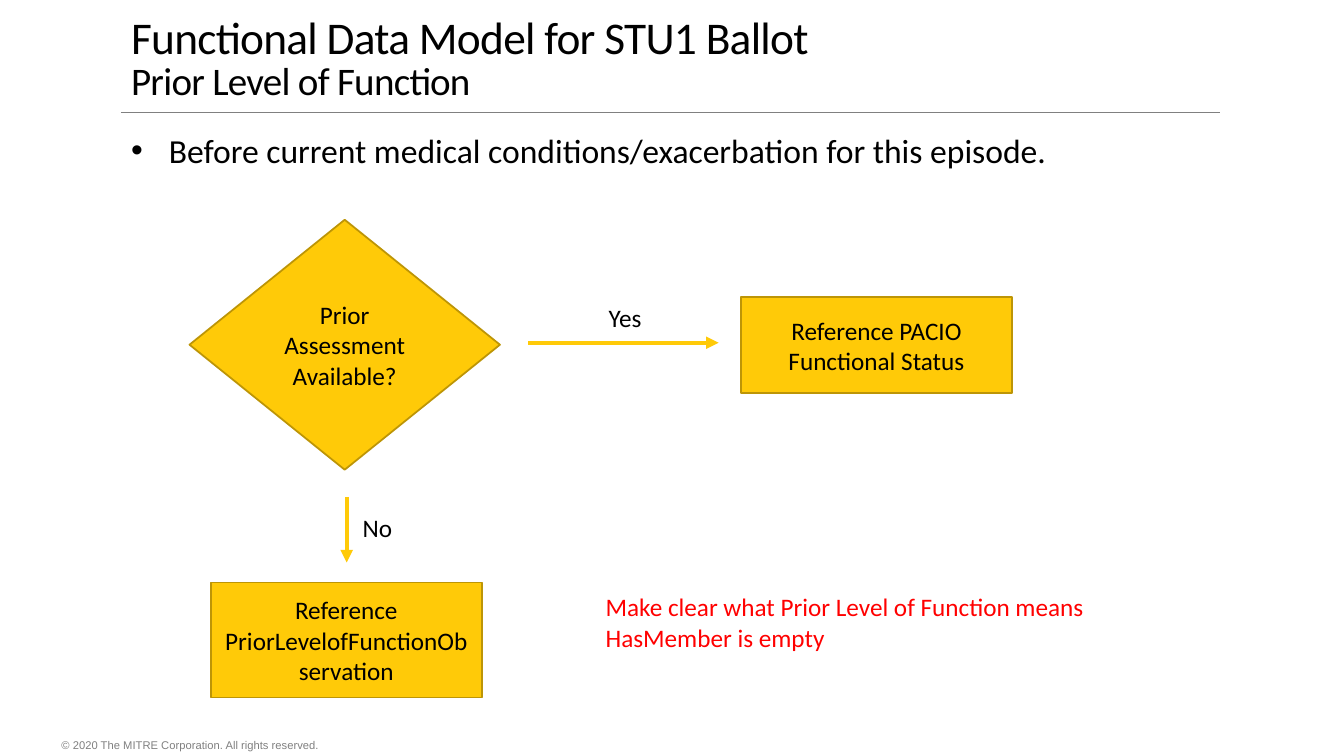
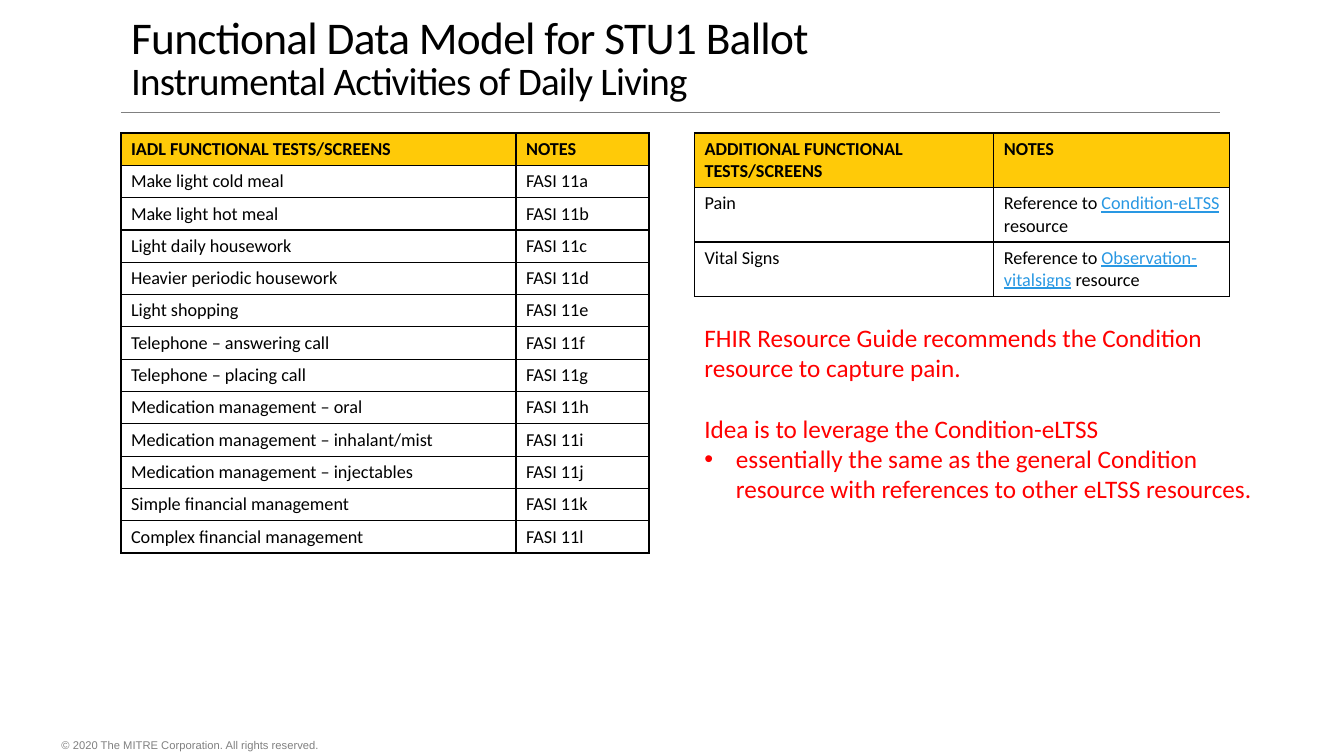
from dataclasses import dataclass
from typing import Optional, Sequence

from lxml.etree import SubElement
from pptx import Presentation
from pptx.dml.color import RGBColor as Color
from pptx.enum.shapes import MSO_CONNECTOR as Link, MSO_SHAPE as Preset
from pptx.enum.text import MSO_ANCHOR as Anchor, MSO_AUTO_SIZE as Fit, PP_ALIGN as Align
from pptx.oxml.ns import qn
from pptx.util import Inches, Pt

COLUMNS, ROWS = 160, 90
CELL = Inches(7.5) / ROWS


@dataclass(frozen=True)
class Theme:
    ink: Color = Color(0, 0, 0)
    paper: Color = Color(255, 255, 255)
    gold: Color = Color.from_string("FFCA08")
    gold_edge: Color = Color.from_string("BD9506")
    grey: Color = Color.from_string("808080")
    remark: Color = Color.from_string("FF0000")
    link: Color = Color.from_string("2998E3")
    font: str = "Calibri"
    footer_font: str = "Arial"
    title: float = 32.4
    subtitle: float = 27.9
    lead: float = 24
    text: float = 18
    table: float = 13
    footer: float = 8


THEME = Theme()


@dataclass(frozen=True)
class Area:
    column: float
    row: float
    columns: float
    rows: float

    def lengths(self) -> tuple:
        return tuple(grid(n) for n in (self.column, self.row, self.columns, self.rows))


@dataclass(frozen=True)
class Para:
    text: str
    indent: float = 0
    gap: float = 0


@dataclass(frozen=True)
class Node:
    preset: Preset
    area: Area
    lines: Sequence[str]


@dataclass(frozen=True)
class Arrow:
    start: tuple
    end: tuple


@dataclass(frozen=True)
class Label:
    area: Area
    lines: Sequence[str]
    color: Color = THEME.ink


@dataclass(frozen=True)
class Grid:
    column: float
    row: float
    widths: Sequence[float]
    cells: Sequence[Sequence[str]]


TITLE = "Functional Data Model for STU1 Ballot"
FOOTER = "© 2020 The MITRE Corporation. All rights reserved."
LEFT, RIGHT_TABLE, TABLE_TOP, TABLE_ROW = 14.4, 82.68, 15.84, 3.48

NODES = (
    Node(Preset.DIAMOND, Area(22.56, 26.16, 36.96, 29.76), ("Prior Assessment", "Available?")),
    Node(Preset.RECTANGLE, Area(88.2, 35.4, 32.28, 11.4), ("Reference PACIO Functional Status",)),
    Node(Preset.RECTANGLE, Area(25.08, 69.36, 32.28, 13.68),
         ("Reference PriorLevelofFunctionObservation",)),
)
ARROWS = (
    Arrow((62.88, 40.8), (85.56, 40.8)),
    Arrow((41.28, 59.16), (41.28, 66.96)),
)
LABELS = (
    Label(Area(71.28, 35.4, 6.36, 4.8), ("Yes",)),
    Label(Area(42, 60.36, 6, 4.8), ("No",)),
    Label(Area(70.92, 69.84, 60, 8.52),
          ("Make clear what Prior Level of Function means", "HasMember is empty"), THEME.remark),
)
ACTIVITIES = (
    "Make light cold meal", "Make light hot meal", "Light daily housework",
    "Heavier periodic housework", "Light shopping", "Telephone – answering call",
    "Telephone – placing call", "Medication management – oral",
    "Medication management – inhalant/mist", "Medication management – injectables",
    "Simple financial management", "Complex financial management",
)
TABLES = (
    Grid(LEFT, TABLE_TOP, (47.04, 15.84),
         (("IADL FUNCTIONAL TESTS/SCREENS", "NOTES"),
          *((name, f"FASI 11{letter}") for name, letter in zip(ACTIVITIES, "abcdefghijkl")))),
    Grid(RIGHT_TABLE, TABLE_TOP, (35.64, 28.08),
         (("ADDITIONAL FUNCTIONAL TESTS/SCREENS", "NOTES"),
          ("Pain", "Reference to |Condition-eLTSS| resource"),
          ("Vital Signs", "Reference to |Observation-vitalsigns| resource"))),
)
REMARKS = (
    Para("FHIR Resource Guide recommends the Condition resource to capture pain."),
    Para("Idea is to leverage the Condition-eLTSS", gap=21.6),
    Para("essentially the same as the general Condition resource with references "
         "to other eLTSS resources.", indent=3.75),
)


def grid(cells: float) -> int:
    return round(cells * CELL)


def style(span, size: float, color: Color, font: str = THEME.font, bold: bool = False) -> None:
    span.font.size = Pt(size)
    span.font.color.rgb = color
    span.font.name = font
    span.font.bold = bold


def write(frame, paras: Sequence[Para], size: float, color: Color = THEME.ink,
          align: Align = Align.LEFT, font: str = THEME.font) -> None:
    for index, item in enumerate(paras):
        para = frame.paragraphs[0] if index == 0 else frame.add_paragraph()
        para.text = item.text
        para.alignment = align
        para.space_before = Pt(item.gap)
        if item.indent:
            properties = para._p.get_or_add_pPr()
            properties.set("marL", str(grid(item.indent)))
            properties.set("indent", str(-grid(item.indent)))
            SubElement(properties, qn("a:buFont")).set("typeface", "Arial")
            SubElement(properties, qn("a:buChar")).set("char", "•")
        for span in para.runs:
            style(span, size, color, font)


def place(shape, area: Area) -> None:
    shape.left, shape.top, shape.width, shape.height = area.lengths()


def add_line(page, start: tuple, end: tuple, color: Color, width: float, arrow: bool = False):
    line = page.shapes.add_connector(Link.STRAIGHT, *(grid(n) for n in (*start, *end)))
    line.line.color.rgb = color
    line.line.width = Pt(width)
    properties = line.element.spPr
    if arrow:
        SubElement(properties.find(qn("a:ln")), qn("a:tailEnd")).set("type", "triangle")
    SubElement(properties, qn("a:effectLst"))
    return line


def add_text(page, area: Area, paras: Sequence[Para], size: float, color: Color = THEME.ink,
             font: str = THEME.font, wrap: bool = True, fit: Fit = Fit.SHAPE_TO_FIT_TEXT):
    box = page.shapes.add_textbox(*area.lengths())
    frame = box.text_frame
    frame.word_wrap = wrap
    frame.auto_size = fit
    write(frame, paras, size, color, font=font)
    return box


def add_node(page, node: Node) -> None:
    shape = page.shapes.add_shape(node.preset, *node.area.lengths())
    shape.shadow.inherit = False
    shape.fill.solid()
    shape.fill.fore_color.rgb = THEME.gold
    shape.line.color.rgb = THEME.gold_edge
    shape.line.width = Pt(1.25)
    shape.text_frame.word_wrap = True
    shape.text_frame.vertical_anchor = Anchor.MIDDLE
    write(shape.text_frame, [Para(line) for line in node.lines], THEME.text, align=Align.CENTER)


def add_borders(cell) -> None:
    properties = cell._tc.get_or_add_tcPr()
    for side in ("lnL", "lnR", "lnT", "lnB"):
        border = SubElement(properties, qn(f"a:{side}"), w=str(Pt(1)))
        fill = SubElement(border, qn("a:solidFill"))
        SubElement(fill, qn("a:srgbClr")).set("val", str(THEME.ink))


def add_grid(page, item: Grid) -> None:
    area = Area(item.column, item.row, sum(item.widths), TABLE_ROW * len(item.cells))
    table = page.shapes.add_table(len(item.cells), len(item.widths), *area.lengths()).table
    table.horz_banding = False
    for column, width in zip(table.columns, item.widths):
        column.width = grid(width)
    for row_index, row in enumerate(item.cells):
        header = row_index == 0
        for column_index, text in enumerate(row):
            cell = table.cell(row_index, column_index)
            add_borders(cell)
            cell.fill.solid()
            cell.fill.fore_color.rgb = THEME.gold if header else THEME.paper
            para = cell.text_frame.paragraphs[0]
            for part_index, part in enumerate(text.split("|")):
                linked = part_index % 2 == 1
                span = para.add_run()
                span.text = part
                style(span, THEME.table, THEME.link if linked else THEME.ink, bold=header)
                span.font.underline = linked


def add_shared_parts(deck, page) -> None:
    rule = add_line(page, (LEFT, 13.32), (145.2, 13.32), THEME.grey, 0.5)
    footer = add_text(page, Area(7.32, 87.36, 98.88, 2.64), [Para(FOOTER)], THEME.footer,
                      THEME.grey, THEME.footer_font, fit=Fit.NONE)
    frame = footer.text_frame
    frame.margin_left = frame.margin_right = frame.margin_top = frame.margin_bottom = 0
    frame.vertical_anchor = Anchor.MIDDLE
    for shape in (rule, footer):
        deck.slide_master.shapes.element.append(shape.element)


def add_page(deck, layout: int, subtitle: str):
    page = deck.slides.add_slide(deck.slide_layouts[layout])
    title = page.shapes.title
    place(title, Area(LEFT, 3.72, 132, 9.24))
    frame = title.text_frame
    frame.auto_size = Fit.NONE
    frame.vertical_anchor = Anchor.BOTTOM
    para = frame.paragraphs[0]
    para.text = f"{TITLE}\v{subtitle}"
    para.alignment = Align.LEFT
    para.line_spacing = 0.85
    for span, size in zip(para.runs, (THEME.title, THEME.subtitle)):
        style(span, size, THEME.ink)
        span.font._element.set("spc", "-50")
    return page


def build_flow(deck):
    page = add_page(deck, 1, "Prior Level of Function")
    body = page.placeholders[1]
    place(body, Area(LEFT, 14.88, 130.68, 6))
    body.text_frame.auto_size = Fit.NONE
    lead = Para("Before current medical conditions/exacerbation for this episode.", indent=4.5)
    write(body.text_frame, [lead], THEME.lead)
    for node in NODES:
        add_node(page, node)
    for arrow in ARROWS:
        add_line(page, arrow.start, arrow.end, THEME.gold, 3, arrow=True)
    for label in LABELS:
        add_text(page, label.area, [Para(line) for line in label.lines], THEME.text,
                 label.color, wrap=False)
    return page


def build_activities(deck) -> None:
    page = add_page(deck, 5, "Instrumental Activities of Daily Living")
    for item in TABLES:
        add_grid(page, item)
    add_text(page, Area(RIGHT_TABLE, 37.8, 69.6, 23.04), REMARKS, THEME.text, THEME.remark)


def main() -> None:
    deck = Presentation()
    deck.slide_width, deck.slide_height = grid(COLUMNS), grid(ROWS)
    add_shared_parts(deck, build_flow(deck))
    build_activities(deck)
    deck.save("out.pptx")


if __name__ == "__main__":
    main()
